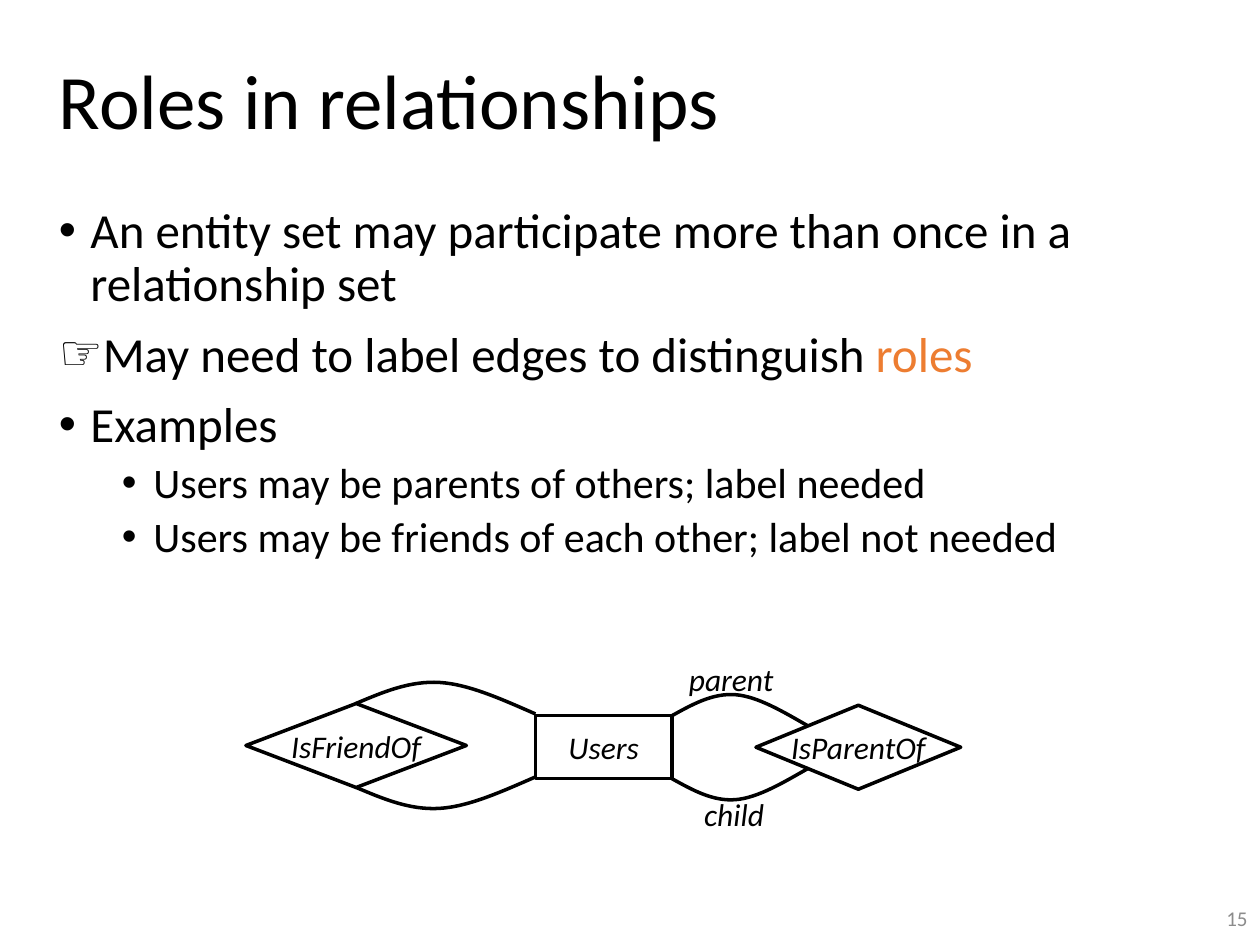
from dataclasses import dataclass

from lxml.etree import SubElement
from pptx import Presentation
from pptx.dml.color import RGBColor
from pptx.enum.shapes import MSO_SHAPE as Shape
from pptx.enum.text import MSO_ANCHOR as Anchor, PP_ALIGN as Align
from pptx.oxml.ns import qn
from pptx.util import Pt


@dataclass(frozen=True)
class Theme:
    font: str = "Calibri"
    ink: RGBColor = RGBColor(0, 0, 0)
    accent: RGBColor = RGBColor(0xED, 0x7D, 0x31)
    muted: RGBColor = RGBColor(0x8C, 0x8C, 0x8C)
    title: int = 44
    body: tuple = (28, 24)
    label: int = 18
    number: int = 12
    line: int = 2


WAVE = [(0.15, -6.5), (0.3, -13), (0.465, -12), (0.63, -11), (0.82, -2), (1, 6)]


class SlideBuilder:
    def __init__(self, slide, theme):
        self.slide = slide
        self.theme = theme

    def style(self, paragraph, size, color=None, italic=False):
        font = paragraph.font
        font.name = self.theme.font
        font.size = Pt(size)
        font.italic = italic
        font.color.rgb = color or self.theme.ink

    def text(self, box, content, size, color=None, align=Align.LEFT,
             anchor=Anchor.TOP, italic=False, wrap=True, spacing=1.0):
        shape = self.slide.shapes.add_textbox(*map(Pt, box))
        frame = shape.text_frame
        frame.word_wrap = wrap
        frame.vertical_anchor = anchor
        paragraph = frame.paragraphs[0]
        paragraph.text = content
        paragraph.alignment = align
        paragraph.line_spacing = spacing
        self.style(paragraph, size, color, italic)

    def bullets(self, box, items):
        frame = self.slide.shapes.add_textbox(*map(Pt, box)).text_frame
        frame.word_wrap = True
        for index, (level, mark, content, highlight) in enumerate(items):
            paragraph = frame.add_paragraph() if index else frame.paragraphs[0]
            paragraph.level = level
            properties = paragraph._p.get_or_add_pPr()
            properties.set("marL", str(Pt(18 + 36 * level)))
            properties.set("indent", str(Pt(-18)))
            SubElement(properties, qn("a:buFont"), typeface="Arial")
            SubElement(properties, qn("a:buChar"), char=mark)
            paragraph.line_spacing = 0.9
            paragraph.space_before = Pt(5 if level else 10)
            self.style(paragraph, self.theme.body[level])
            paragraph.add_run().text = content
            if highlight:
                run = paragraph.add_run()
                run.text = highlight
                run.font.color.rgb = self.theme.accent

    def outline(self, shape):
        shape.shadow.inherit = False
        shape.fill.background()
        shape.line.color.rgb = self.theme.ink
        shape.line.width = Pt(self.theme.line)

    def node(self, kind, box, name):
        shape = self.slide.shapes.add_shape(kind, *map(Pt, box))
        self.outline(shape)
        frame = shape.text_frame
        frame.word_wrap = False
        frame.vertical_anchor = Anchor.MIDDLE
        paragraph = frame.paragraphs[0]
        paragraph.text = name
        paragraph.alignment = Align.CENTER
        self.style(paragraph, self.theme.label, italic=True)

    def edge(self, left, right, top, direction):
        builder = self.slide.shapes.build_freeform(Pt(left), Pt(top))
        builder.add_line_segments(
            [(Pt(left + x * (right - left)), Pt(top + direction * y)) for x, y in WAVE],
            close=False)
        shape = builder.convert_to_shape()
        self.outline(shape)
        outline = next(shape._element.iter(qn("a:path")))
        segments = outline.findall(qn("a:lnTo"))
        for start in range(0, len(segments), 3):
            curve = SubElement(outline, qn("a:cubicBezTo"))
            for segment in segments[start:start + 3]:
                curve.append(segment[0])
                outline.remove(segment)


def main():
    presentation = Presentation()
    presentation.slide_width, presentation.slide_height = Pt(720), Pt(540)
    theme = Theme()
    slide = SlideBuilder(
        presentation.slides.add_slide(presentation.slide_layouts[6]), theme)

    slide.text((26.64, 13, 693.36, 93), "Roles in relationships", theme.title,
               anchor=Anchor.MIDDLE, spacing=0.9)
    slide.bullets((26.64, 114.5, 643.7, 414.7), [
        (0, "•", "An entity set may participate more than once in a relationship set", ""),
        (0, "☞", "May need to label edges to distinguish ", "roles"),
        (0, "•", "Examples", ""),
        (1, "•", "Users may be parents of others; label needed", ""),
        (1, "•", "Users may be friends of each other; label not needed", ""),
    ])
    slide.text((558, 510, 162, 28.8), "15", theme.number, theme.muted,
               Align.RIGHT, Anchor.MIDDLE)

    slide.node(Shape.RECTANGLE, (306, 409, 78, 36), "Users")
    slide.node(Shape.FLOWCHART_DECISION, (432, 403, 117, 48), "IsParentOf")
    slide.node(Shape.FLOWCHART_DECISION, (140.5, 402, 126, 48), "IsFriendOf")
    for left, right, top, bottom in [(384, 462, 409, 445), (203.5, 306, 402, 450)]:
        slide.edge(left, right, top, 1)
        slide.edge(left, right, bottom, -1)
    for box, role in [((386.6, 373.7, 64, 29), "parent"), ((395.3, 450.7, 50, 29), "child")]:
        slide.text(box, role, theme.label, italic=True, wrap=False)

    presentation.save("out.pptx")


if __name__ == "__main__":
    main()
